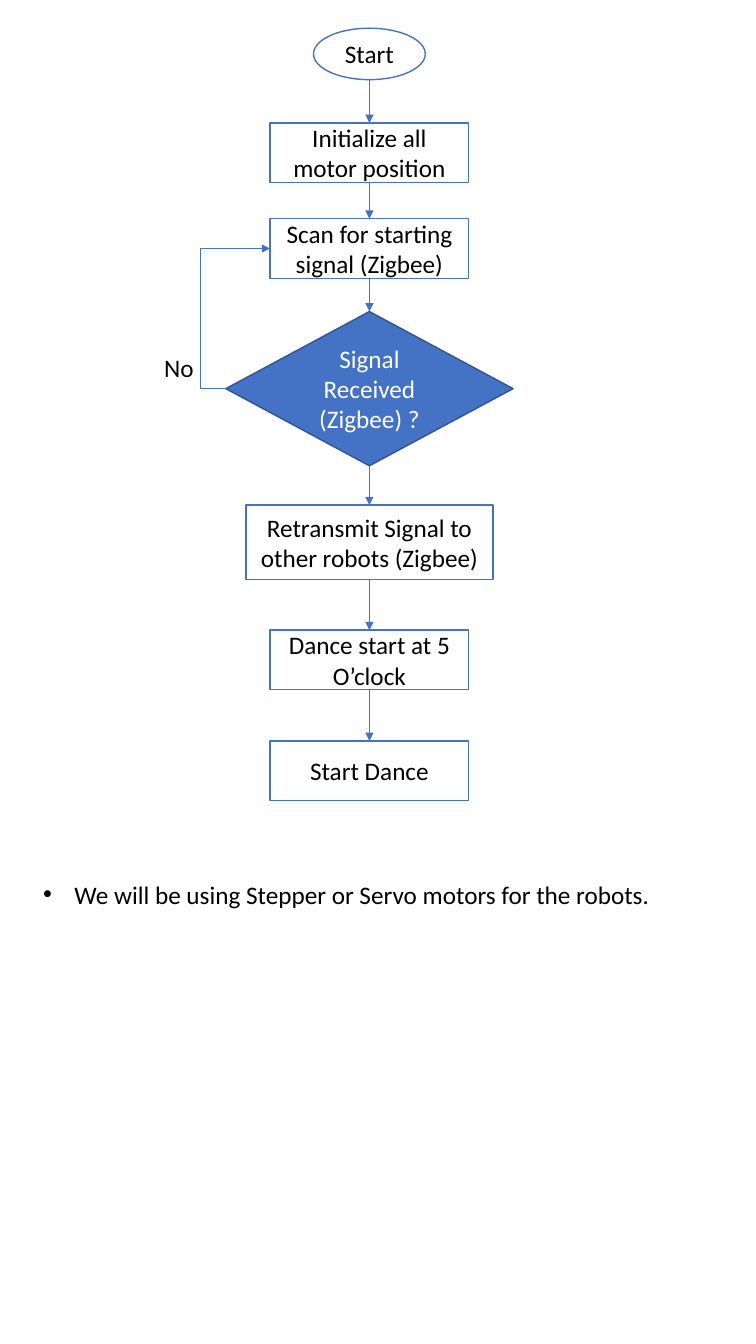
from itertools import pairwise
from dataclasses import dataclass
from pptx import Presentation
from pptx.dml.color import RGBColor
from pptx.enum.shapes import MSO_CONNECTOR, MSO_SHAPE
from pptx.enum.text import MSO_ANCHOR, MSO_AUTO_SIZE, PP_ALIGN
from pptx.oxml.ns import qn
from pptx.util import Inches, Pt
from lxml.etree import SubElement


@dataclass(frozen=True)
class Theme:
    font: str = "Calibri"
    size: int = 18
    outline: float = 1
    arrow: float = 0.5
    accent: str = "4472C4"
    accent_dark: str = "325491"
    paper: str = "FFFFFF"
    ink: str = "000000"


def set_attributes(target, values):
    for name, value in values.items():
        setattr(target, name, value)


class FlowSlide:
    """Style and slide; lengths are columns and rows of a tenth of an inch."""

    def __init__(self, slide, theme):
        self.slide, self.theme = slide, theme

    def grid(self, *lengths):
        return [Inches(length / 10) for length in lengths]

    def set_text(self, shape, text, color, **paragraph_format):
        shape.text_frame.word_wrap = True
        paragraph = shape.text_frame.paragraphs[0]
        paragraph.text = text
        set_attributes(paragraph, paragraph_format)
        font = paragraph.runs[0].font
        set_attributes(font, {"name": self.theme.font, "size": Pt(self.theme.size)})
        font.color.rgb = RGBColor.from_string(color)
        return paragraph

    def set_line(self, line, color, width):
        line.color.rgb = RGBColor.from_string(color)
        line.width = Pt(width)

    def step(self, kind, text, center, top, width, height, fill, line, color):
        shape = self.slide.shapes.add_shape(
            kind, *self.grid(center - width / 2, top, width, height))
        shape.shadow.inherit = False
        shape.fill.solid()
        shape.fill.fore_color.rgb = RGBColor.from_string(fill)
        self.set_line(shape.line, line, self.theme.outline)
        shape.text_frame.vertical_anchor = MSO_ANCHOR.MIDDLE
        self.set_text(shape, text, color, alignment=PP_ALIGN.CENTER)
        return shape

    def arrow(self, kind, source, source_site, target, target_site):
        connector = self.slide.shapes.add_connector(kind, 0, 0, 0, 0)
        connector.begin_connect(source, source_site)
        connector.end_connect(target, target_site)
        self.set_line(connector.line, self.theme.accent, self.theme.arrow)
        properties = connector._element.spPr
        SubElement(properties.find(qn("a:ln")), qn("a:tailEnd"), type="triangle")
        SubElement(properties, qn("a:effectLst"))
        return connector

    def label(self, text, left, top, width, height, bullet_indent=None):
        box = self.slide.shapes.add_textbox(*self.grid(left, top, width, height))
        paragraph = self.set_text(box, text, self.theme.ink)
        box.text_frame.auto_size = MSO_AUTO_SIZE.SHAPE_TO_FIT_TEXT
        if bullet_indent:
            properties = paragraph._p.get_or_add_pPr()
            [indent] = self.grid(bullet_indent)
            properties.set("marL", str(int(indent)))
            properties.set("indent", str(-int(indent)))
            SubElement(properties, qn("a:buFont"), typeface="Arial")
            SubElement(properties, qn("a:buChar"), char="•")


presentation = Presentation()
set_attributes(presentation, {"slide_width": Inches(7.5), "slide_height": Inches(13.33)})
theme = Theme()
flow = FlowSlide(presentation.slides.add_slide(presentation.slide_layouts[6]), theme)

# Steps, all centred on one column
CENTER = 36.65
BOX = (19.7, 5.9)
OUTLINED = (theme.paper, theme.accent, theme.ink)
FILLED = (theme.accent, theme.accent_dark, theme.paper)
RECTANGLE = MSO_SHAPE.RECTANGLE
STEPS = [
    (MSO_SHAPE.OVAL, "Start", 2.8, (11.1, 5.1), OUTLINED),
    (RECTANGLE, "Initialize all motor position", 12.2, BOX, OUTLINED),
    (RECTANGLE, "Scan for starting signal (Zigbee)", 21.7, BOX, OUTLINED),
    (MSO_SHAPE.DIAMOND, "Signal Received (Zigbee) ?", 30.9, (28.5, 15.3), FILLED),
    (RECTANGLE, "Retransmit Signal to other robots (Zigbee)", 50.1, (24.5, 7.4), OUTLINED),
    (RECTANGLE, "Dance start at 5 O’clock", 62.5, BOX, OUTLINED),
    (RECTANGLE, "Start Dance", 73.5, BOX, OUTLINED),
]
shapes = [flow.step(kind, text, CENTER, top, *size, *colors)
          for kind, text, top, size, colors in STEPS]

# Arrows from the bottom of each step to the top of the next
TOP, LEFT, BOTTOM, OVAL_BOTTOM = 0, 1, 2, 4
arrows = [flow.arrow(MSO_CONNECTOR.STRAIGHT, upper, BOTTOM, lower, TOP)
          for upper, lower in pairwise(shapes)]
# An oval has eight connection sites, so its bottom has another number
arrows[0]._element.find(".//" + qn("a:stCxn")).set("idx", str(OVAL_BOTTOM))

# Loop back while no signal is received, bending left of both steps
scan, decision = shapes[2:4]
loop = flow.arrow(MSO_CONNECTOR.ELBOW, decision, LEFT, scan, LEFT)
guides = loop._element.spPr.find(qn("a:prstGeom")).find(qn("a:avLst"))
SubElement(guides, qn("a:gd"), name="adj1", fmla="val -57000")
flow.label("No", 15.3, 34.4, 7.1, 4.2)

# Note below the chart
flow.label("We will be using Stepper or Servo motors for the robots.",
           3.3, 86.7, 68.5, 7.1, bullet_indent=3.1)

presentation.save("out.pptx")
